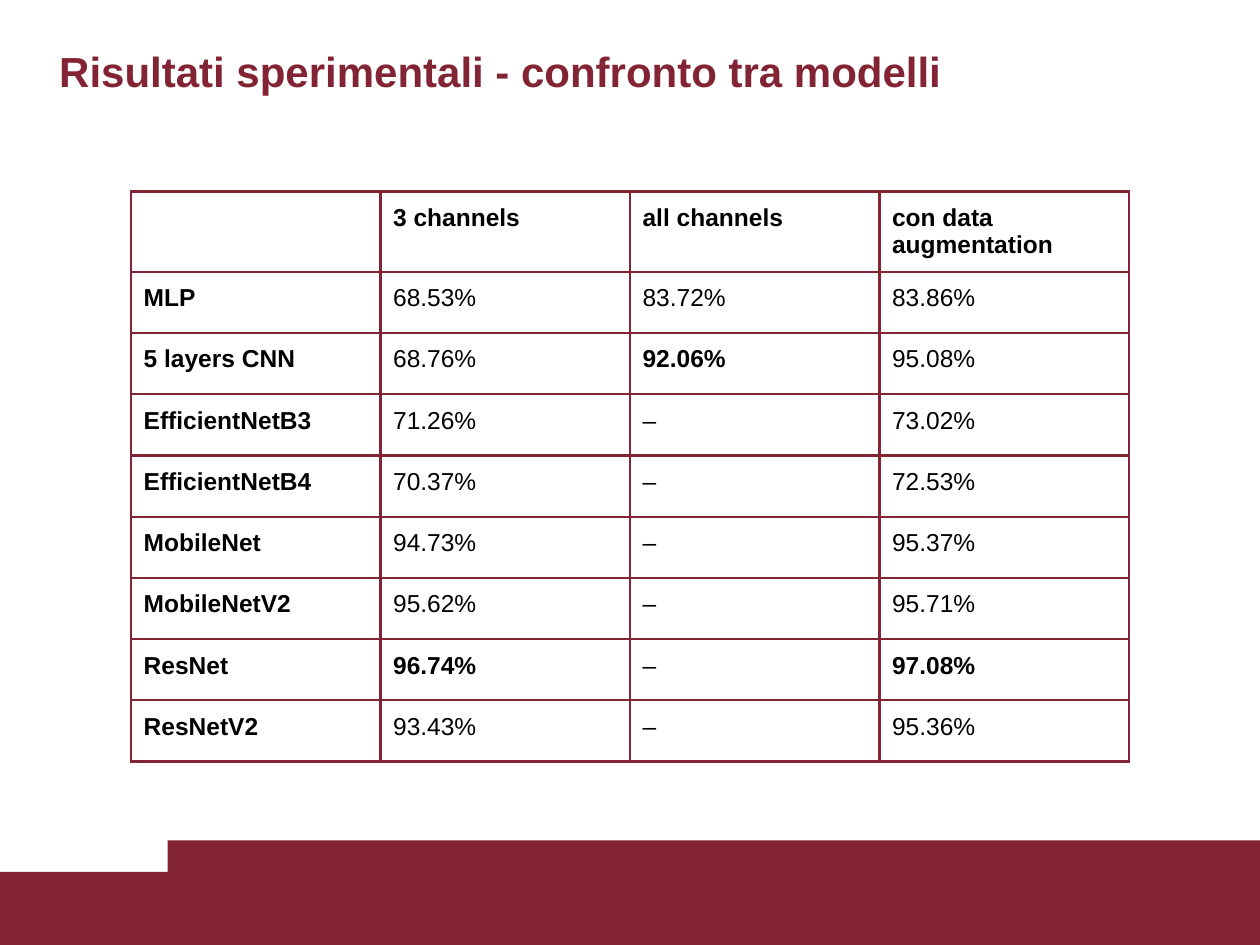
from lxml.etree import SubElement
from pptx import Presentation
from pptx.dml.color import RGBColor
from pptx.enum.shapes import MSO_SHAPE
from pptx.enum.text import MSO_ANCHOR, MSO_AUTO_SIZE, PP_ALIGN
from pptx.oxml.ns import qn
from pptx.util import Inches, Pt

WIDTH, HEIGHT = 10, 7.5
FONT = "Arial"
MAROON, BLACK = "822433", "000000"
COL_WIDTH, HEADER_HEIGHT, ROW_HEIGHT = 1.98, 0.52, 0.486

HEADER = ["", "3 channels", "all channels", "con data augmentation"]
RESULTS = [
    ["MLP", "68.53%", "83.72%", "83.86%"],
    ["5 layers CNN", "68.76%", "92.06%", "95.08%"],
    ["EfficientNetB3", "71.26%", "–", "73.02%"],
    ["EfficientNetB4", "70.37%", "–", "72.53%"],
    ["MobileNet", "94.73%", "–", "95.37%"],
    ["MobileNetV2", "95.62%", "–", "95.71%"],
    ["ResNet", "96.74%", "–", "97.08%"],
    ["ResNetV2", "93.43%", "–", "95.36%"],
]
HIGHLIGHTED = {"92.06%", "96.74%", "97.08%"}


def rgb(color):
    return RGBColor.from_string(color)


def format_text(tf, size, color, bold):
    for p in tf.paragraphs:
        p.alignment = PP_ALIGN.LEFT
        for r in p.runs:
            r.font.name = FONT
            r.font.size = Pt(size)
            r.font.bold = bold
            r.font.color.rgb = rgb(color)


def set_title(s, text):
    title = s.shapes.title
    title.left, title.top = Inches(0.37), Inches(0.16)
    title.width, title.height = Inches(9.11), Inches(0.65)
    tf = title.text_frame
    tf.text = text
    tf.word_wrap = True
    tf.auto_size = MSO_AUTO_SIZE.NONE
    tf.vertical_anchor = MSO_ANCHOR.BOTTOM
    format_text(tf, 24, MAROON, True)


def add_footer_band(s, left, top):
    """Fill from the given corner to the bottom right of the slide."""
    sp = s.shapes.add_shape(MSO_SHAPE.RECTANGLE, Inches(left), Inches(top),
                            Inches(WIDTH - left), Inches(HEIGHT - top))
    sp.shadow.inherit = False
    sp.fill.solid()
    sp.fill.fore_color.rgb = rgb(MAROON)
    sp.line.fill.background()


def set_borders(cell, color, width):
    tc_pr = cell._tc.get_or_add_tcPr()
    for i, side in enumerate(("lnL", "lnR", "lnT", "lnB")):
        ln = tc_pr.makeelement(qn(f"a:{side}"), {"w": str(Pt(width))})
        fill = SubElement(ln, qn("a:solidFill"))
        SubElement(fill, qn("a:srgbClr"), val=color)
        tc_pr.insert(i, ln)  # borders come before the cell fill


def fill_cell(cell, text, bold):
    cell.fill.background()
    set_borders(cell, MAROON, 1.5)
    if text:
        cell.margin_left = cell.margin_right = Inches(0.1)
        cell.margin_top = cell.margin_bottom = Inches(0.1)
        cell.text_frame.text = text
        format_text(cell.text_frame, 14, BLACK, bold)


def add_results_table(s, left, top, rows):
    n_rows, n_cols = len(rows), len(rows[0])
    height = HEADER_HEIGHT + ROW_HEIGHT * (n_rows - 1)
    table = s.shapes.add_table(n_rows, n_cols, Inches(left), Inches(top),
                               Inches(COL_WIDTH * n_cols), Inches(height)).table
    table.first_row = table.horz_banding = False
    for col in table.columns:
        col.width = Inches(COL_WIDTH)
    for i, values in enumerate(rows):
        table.rows[i].height = Inches(ROW_HEIGHT if i else HEADER_HEIGHT)
        for j, text in enumerate(values):
            bold = i == 0 or j == 0 or text in HIGHLIGHTED
            fill_cell(table.cell(i, j), text, bold)


def main():
    prs = Presentation()
    prs.slide_width, prs.slide_height = Inches(WIDTH), Inches(HEIGHT)
    s = prs.slides.add_slide(prs.slide_layouts[5])

    # Stepped footer
    add_footer_band(s, 0, 6.92)
    add_footer_band(s, 1.33, 6.67)

    # Title and model comparison
    set_title(s, "Risultati sperimentali - confronto tra modelli")
    add_results_table(s, 1.04, 1.52, [HEADER] + RESULTS)

    prs.save("out.pptx")


if __name__ == "__main__":
    main()
